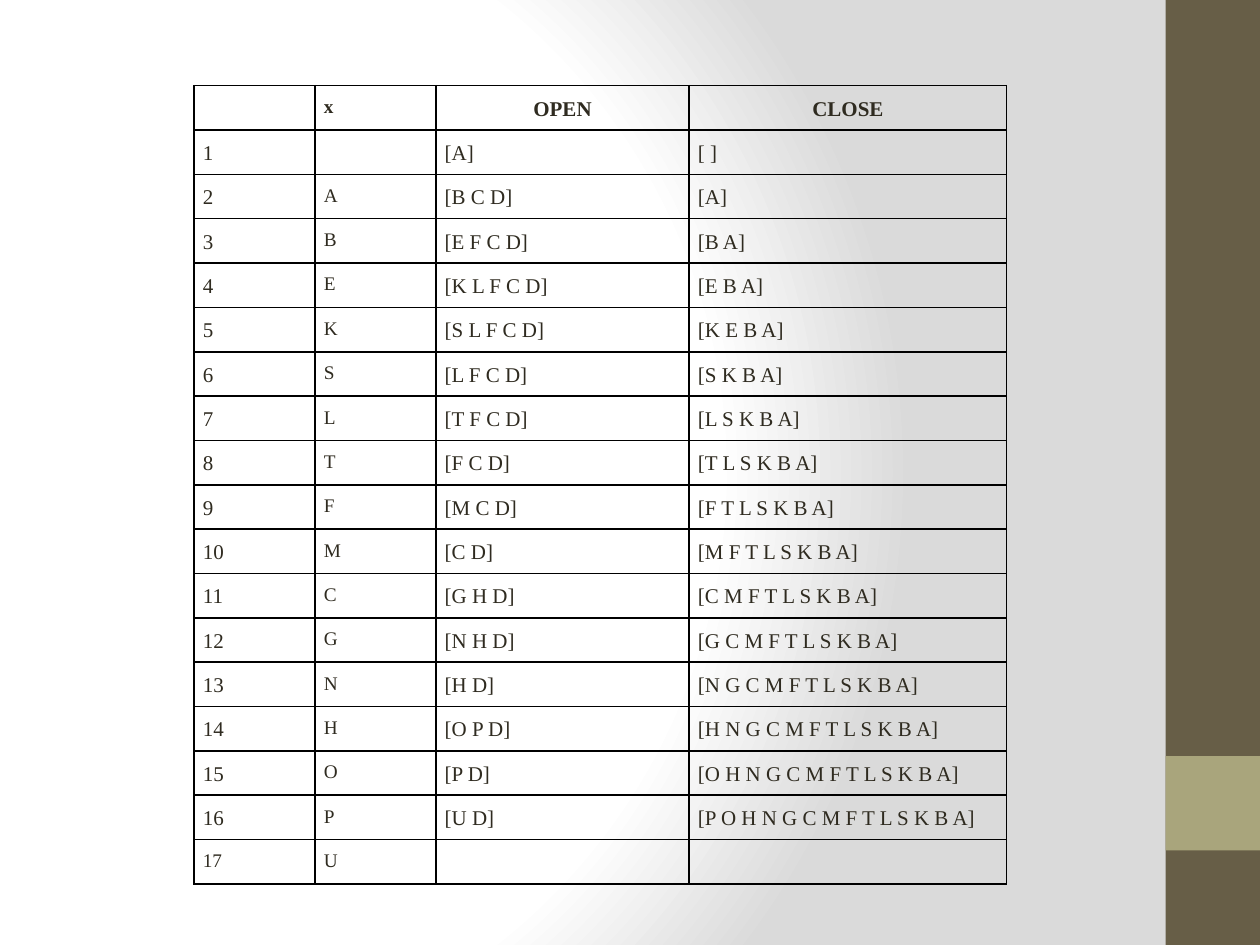
import pptx
import pptx.dml.color
import pptx.enum.shapes
import pptx.enum.text
import pptx.oxml
import pptx.oxml.ns
import pptx.util

Inches = pptx.util.Inches
Pt = pptx.util.Pt
ALIGN = pptx.enum.text.PP_ALIGN

FONT = "Times New Roman"
INK = "2F2B20"
COLUMN_WIDTHS = [0.96, 0.96, 2.01, 2.52]
ROW_HEIGHT = 6.34 / 18
X_COLUMN = 1

# x, OPEN, CLOSE for each numbered step
STEPS = [
    ("", "[A]", "[ ]"),
    ("A", "[B C D]", "[A]"),
    ("B", "[E F C D]", "[B A]"),
    ("E", "[K L F C D]", "[E B A]"),
    ("K", "[S L F C D]", "[K E B A]"),
    ("S", "[L F C D]", "[S K B A]"),
    ("L", "[T F C D]", "[L S K B A]"),
    ("T", "[F C D]", "[T L S K B A]"),
    ("F", "[M C D]", "[F T L S K B A]"),
    ("M", "[C D]", "[M F T L S K B A]"),
    ("C", "[G H D]", "[C M F T L S K B A]"),
    ("G", "[N H D]", "[G C M F T L S K B A]"),
    ("N", "[H D]", "[N G C M F T L S K B A]"),
    ("H", "[O P D]", "[H N G C M F T L S K B A]"),
    ("O", "[P D]", "[O H N G C M F T L S K B A]"),
    ("P", "[U D]", "[P O H N G C M F T L S K B A]"),
    ("U", "", ""),
]


def rgb(color):
    return pptx.dml.color.RGBColor.from_string(color)


def set_background(s):
    """Radial gradient, white at the left and grey at the right."""
    s.background.fill.gradient()
    grad = s.element.xpath(".//a:gradFill")[0]
    stops = "".join(
        f'<a:gs pos="{pos * 1000}"><a:srgbClr val="{color}"/></a:gs>'
        for pos, color in [(0, "FFFFFF"), (75, "FFFFFF"), (100, "DADADA")]
    )
    radial = pptx.oxml.parse_xml(
        f'<a:gradFill {pptx.oxml.ns.nsdecls("a")} rotWithShape="1">'
        f'<a:gsLst>{stops}</a:gsLst><a:path path="circle">'
        '<a:fillToRect l="20000" t="50000" r="100000" b="50000"/>'
        "</a:path></a:gradFill>"
    )
    grad.getparent().replace(grad, radial)


def add_band(s, top, height, color):
    sp = s.shapes.add_shape(
        pptx.enum.shapes.MSO_SHAPE.RECTANGLE,
        Inches(9.25), Inches(top), Inches(0.75), Inches(height),
    )
    sp.shadow.inherit = False
    sp.fill.solid()
    sp.fill.fore_color.rgb = rgb(color)
    sp.line.fill.background()


def set_borders(cell):
    """Black 1 pt lines; they must come before the fill in the cell properties."""
    tc_pr = cell._tc.get_or_add_tcPr()
    for i, side in enumerate(("lnL", "lnR", "lnT", "lnB")):
        tc_pr.insert(i, pptx.oxml.parse_xml(
            f'<a:{side} {pptx.oxml.ns.nsdecls("a")} w="{Pt(1)}">'
            '<a:solidFill><a:srgbClr val="000000"/></a:solidFill>'
            f"</a:{side}>"
        ))


def fill_cell(cell, text, size, bold, align):
    cell.margin_left = cell.margin_right = Inches(0.07)
    cell.margin_top = cell.margin_bottom = 0
    cell.fill.background()
    set_borders(cell)
    if not text:
        return
    p = cell.text_frame.paragraphs[0]
    p.text = text
    p.alignment = align
    p.line_spacing = 1.5
    font = p.runs[0].font
    font.name = FONT
    font.size = Pt(size)
    font.bold = bold
    font.color.rgb = rgb(INK)


def add_trace_table(s):
    rows = [("", "x", "OPEN", "CLOSE")]
    rows += [(str(n), *step) for n, step in enumerate(STEPS, 1)]
    table = s.shapes.add_table(
        len(rows), len(COLUMN_WIDTHS), Inches(1.54), Inches(0.68),
        Inches(sum(COLUMN_WIDTHS)), Inches(ROW_HEIGHT * len(rows)),
    ).table
    table.first_row = table.horz_banding = False
    for column, width in zip(table.columns, COLUMN_WIDTHS):
        column.width = Inches(width)
    for r, row in enumerate(rows):
        table.rows[r].height = Inches(ROW_HEIGHT)
        for c, text in enumerate(row):
            small = c == X_COLUMN or r == len(STEPS)
            centred = r == 0 and c > X_COLUMN
            fill_cell(
                table.cell(r, c), text, 11 if small else 12, r == 0,
                ALIGN.CENTER if centred else ALIGN.JUSTIFY,
            )


def main():
    prs = pptx.Presentation()
    prs.slide_width = Inches(10)
    prs.slide_height = Inches(7.5)
    s = prs.slides.add_slide(prs.slide_layouts[6])
    set_background(s)
    add_band(s, 0, 7.5, "675E47")
    add_band(s, 6, 0.75, "A9A57C")
    add_trace_table(s)
    prs.save("out.pptx")


if __name__ == "__main__":
    main()
